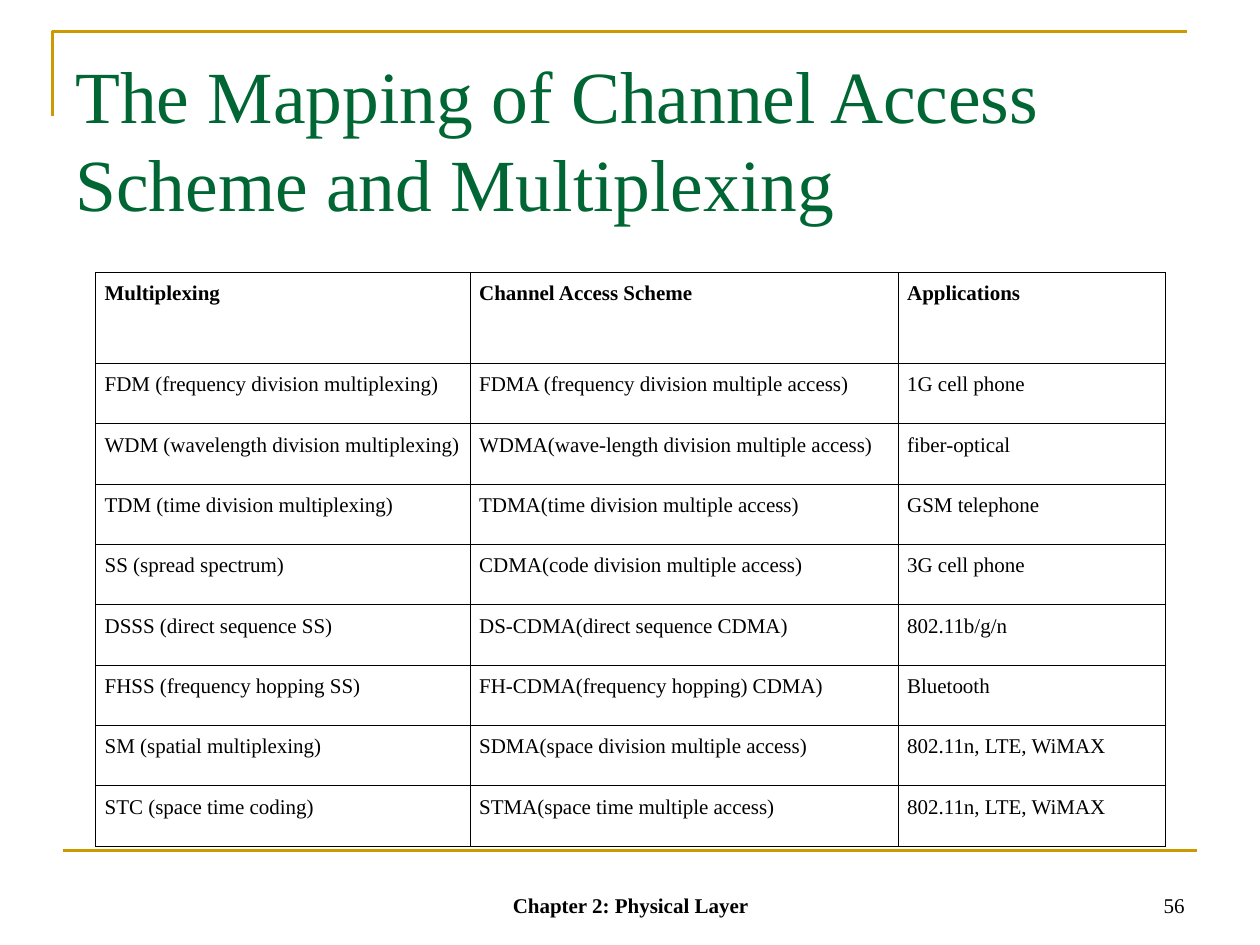
from pptx import Presentation
from pptx.dml.color import RGBColor
from pptx.enum import shapes, text
from pptx.oxml import parse_xml
from pptx.oxml.ns import nsdecls
from pptx.util import Cm, Pt

GOLD = RGBColor(0xCC, 0x99, 0x00)
GREEN = RGBColor(0x00, 0x66, 0x33)
BLACK = RGBColor(0x00, 0x00, 0x00)
FONT = "Times New Roman"

ROWS = [
    ("Multiplexing", "Channel Access Scheme", "Applications"),
    ("FDM (frequency division multiplexing)",
     "FDMA (frequency division multiple access)", "1G cell phone"),
    ("WDM (wavelength division multiplexing)",
     "WDMA(wave-length division multiple access)", "fiber-optical"),
    ("TDM (time division multiplexing)",
     "TDMA(time division multiple access)", "GSM telephone"),
    ("SS (spread spectrum)",
     "CDMA(code division multiple access)", "3G cell phone"),
    ("DSSS (direct sequence SS)",
     "DS-CDMA(direct sequence CDMA)", "802.11b/g/n"),
    ("FHSS (frequency hopping SS)",
     "FH-CDMA(frequency hopping) CDMA)", "Bluetooth"),
    ("SM (spatial multiplexing)",
     "SDMA(space division multiple access)", "802.11n, LTE, WiMAX"),
    ("STC (space time coding)",
     "STMA(space time multiple access)", "802.11n, LTE, WiMAX"),
]
SHARES = (0.35, 0.4, 0.25)
HEAD = 1.83


def add_run(para, words, size, color, bold=False):
    run = para.add_run()
    run.text = words
    font = run.font
    font.name, font.size, font.bold = FONT, Pt(size), bold
    font.color.rgb = color


def add_box(slide, box, anchor):
    frame = slide.shapes.add_textbox(*map(Cm, box)).text_frame
    frame.word_wrap = True
    frame.vertical_anchor = anchor
    return frame


def add_frame(slide, box):
    left, top, width, height = box
    pen = slide.shapes.build_freeform(Cm(left), Cm(top + height))
    pen.add_line_segments(
        [(Cm(left), Cm(top)), (Cm(left + width), Cm(top))], close=False)
    edge = pen.convert_to_shape()
    edge.shadow.inherit = False
    edge.fill.background()
    edge.line.color.rgb = GOLD
    edge.line.width = Pt(1.5)


def add_rule(slide, box):
    left, top, width = box
    rule = slide.shapes.add_connector(
        shapes.MSO_CONNECTOR.STRAIGHT,
        Cm(left), Cm(top), Cm(left + width), Cm(top))
    rule.line.color.rgb = GOLD
    rule.line.width = Pt(1.5)
    rule._element.spPr.append(
        parse_xml(f"<a:effectLst {nsdecls('a')}/>"))


def add_title(slide, box):
    frame = add_box(slide, box, text.MSO_ANCHOR.TOP)
    frame.margin_top = Cm(0.25)
    para = frame.paragraphs[0]
    para.line_spacing = Pt(50.3)
    add_run(para, "The Mapping of Channel Access Scheme and Multiplexing",
            42, GREEN)


def add_edges(cell):
    props = cell._tc.get_or_add_tcPr()
    for spot, side in enumerate(("lnL", "lnR", "lnT", "lnB")):
        props.insert(spot, parse_xml(
            f'<a:{side} {nsdecls("a")} w="{Pt(0.45)}"><a:solidFill>'
            f'<a:srgbClr val="{BLACK}"/></a:solidFill></a:{side}>'))


def fill_cell(cell, words, bold):
    cell.fill.background()
    cell.margin_left = cell.margin_right = Cm(0.18)
    cell.margin_top = cell.margin_bottom = Cm(0.13)
    para = cell.text_frame.paragraphs[0]
    para.alignment = text.PP_ALIGN.JUSTIFY
    para.line_spacing = 1.15
    para.space_after = Pt(6)
    add_run(para, words, 12, BLACK, bold)
    add_edges(cell)


def add_grid(slide, box):
    width, height = box[2:]
    grid = slide.shapes.add_table(
        len(ROWS), len(SHARES), *map(Cm, box)).table
    grid.first_row = grid.horz_banding = False
    for col, share in zip(grid.columns, SHARES):
        col.width = Cm(width * share)
    step = (height - HEAD) / (len(ROWS) - 1)
    for num, (row, words) in enumerate(zip(grid.rows, ROWS)):
        row.height = Cm(step if num else HEAD)
        for cell, word in zip(row.cells, words):
            fill_cell(cell, word, num == 0)


def add_foot(slide, box):
    left, top, width, height = box
    parts = (
        (7.42, 8.05, "Chapter 2: Physical Layer", text.PP_ALIGN.CENTER, True),
        (width - 5.92, 5.92, "56", text.PP_ALIGN.RIGHT, False),
    )
    for shift, span, words, align, bold in parts:
        frame = add_box(slide, (left + shift, top, span, height),
                        text.MSO_ANCHOR.BOTTOM)
        para = frame.paragraphs[0]
        para.alignment = align
        add_run(para, words, 12, BLACK, bold)


def main():
    deck = Presentation()
    deck.slide_width, deck.slide_height = Cm(25.4), Cm(19.05)
    slide = deck.slides.add_slide(deck.slide_layouts[6])
    add_frame(slide, (1.06, 0.64, 22.86, 1.69))
    add_rule(slide, (1.27, 17.15, 22.86))
    add_title(slide, (1.27, 0.76, 22.86, 3.18))
    add_grid(slide, (1.93, 5.49, 21.57, 11.57))
    add_foot(slide, (1.27, 17.35, 22.86, 1.27))
    deck.save("out.pptx")


if __name__ == "__main__":
    main()
